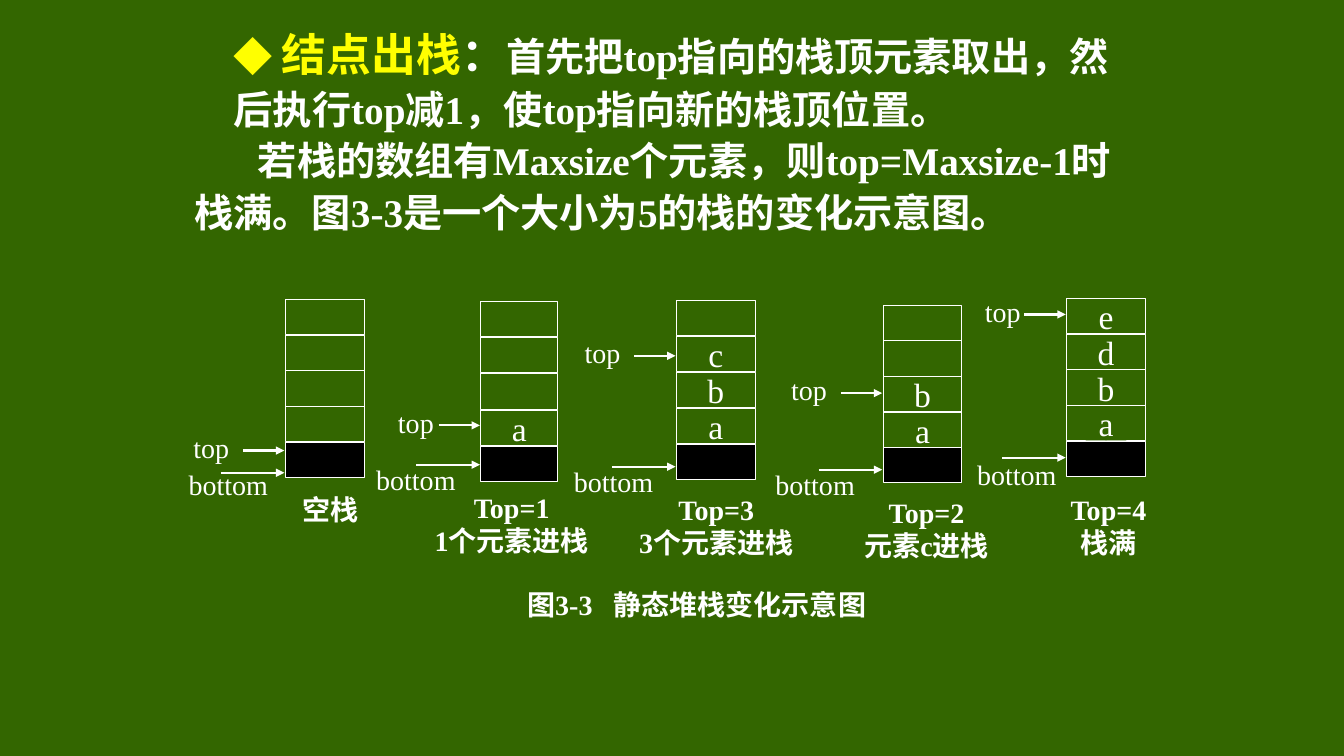
from collections import namedtuple

from lxml import etree
from pptx import Presentation
from pptx.dml.color import RGBColor
from pptx.enum.shapes import MSO_CONNECTOR, MSO_SHAPE
from pptx.enum.text import MSO_ANCHOR, PP_ALIGN
from pptx.oxml.ns import qn
from pptx.util import Pt

PX = 9144  # 100 px to the inch
GREEN = RGBColor(0x33, 0x66, 0x00)
WHITE = RGBColor(0xFF, 0xFF, 0xFF)
YELLOW = RGBColor(0xFF, 0xFF, 0x00)
BLACK = RGBColor(0x00, 0x00, 0x00)
LATIN, CJK = "Times New Roman", "Noto Sans CJK SC"

# Run formats
BODY = dict(size=Pt(28), bold=True, name=LATIN, color=WHITE)
BULLET = dict(BODY, name=CJK, color=YELLOW)
TERM = dict(BODY, size=Pt(32), color=YELLOW)
COLON = dict(TERM, color=WHITE)
LABEL = dict(BODY, size=Pt(20), bold=False)
CAPTION = dict(LABEL, bold=True)
GAP = dict(CAPTION, size=Pt(15))
CELL = dict(LABEL, size=Pt(24))

INTRO = [
    ((39, 0), [
        ("◆ ", BULLET), ("结点出栈", TERM), ("：", COLON),
        ("首先把top指向的栈顶元素取出，然后执行top减1，使top指向新的栈顶位置。", BODY)]),
    ((0, 63), [
        ("若栈的数组有Maxsize个元素，则top=Maxsize-1时栈满。"
         "图3-3是一个大小为5的栈的变化示意图。", BODY)]),
]

# box: x, y, w, h of the five cells; the label places are offsets from its corner
Stack = namedtuple("Stack", "box items top bottom arrow_y caption caption_box")
STACKS = [
    Stack((283, 297, 79, 177), "", (-101, 127), (-100, 164), 172,
          ["空栈"], (5, 189, 79, 39)),
    Stack((477, 299, 76, 179), "a", (-92, 100), (-108, 157), 162,
          ["Top=1", "1个元素进栈"], (-52, 185, 165, 71)),
    Stack((671, 298, 78, 178), "abc", (-101, 32), (-106, 160), 165,
          ["Top=3", "3个元素进栈"], (-43, 188, 165, 71)),
    Stack((876, 303, 78, 176), "ab", (-101, 64), (-111, 158), 163,
          ["Top=2", "元素c进栈"], (-28, 186, 142, 71)),
    Stack((1058, 296, 78, 177), "abde", (-91, -7), (-93, 155), 158,
          ["Top=4", "栈满"], (0, 190, 83, 71)),
]


def emu(*lengths):
    return [round(v * PX) for v in lengths]


def add_run(p, text, fmt):
    r = p.add_run()
    r.text = text
    for key, value in fmt.items():
        if key == "color":
            r.font.color.rgb = value
        else:
            setattr(r.font, key, value)
    ea = etree.SubElement(r.font._element, qn("a:ea"))
    ea.set("typeface", CJK)


def set_lines(tf, lines, fmt):
    """Centred lines in one format, middle anchored."""
    tf.word_wrap = False
    tf.margin_left = tf.margin_right = 0
    tf.vertical_anchor = MSO_ANCHOR.MIDDLE
    for i, line in enumerate(lines):
        p = tf.add_paragraph() if i else tf.paragraphs[0]
        p.alignment = PP_ALIGN.CENTER
        add_run(p, line, fmt)


def add_label(shapes, box, lines, fmt):
    tf = shapes.add_textbox(*emu(*box)).text_frame
    set_lines(tf, lines, fmt)
    return tf


def add_arrow(shapes, x1, x2, y):
    line = shapes.add_connector(MSO_CONNECTOR.STRAIGHT, *emu(x1, y, x2, y))
    line.line.color.rgb = WHITE
    line.line.width = Pt(1.5)
    tail = etree.SubElement(line.line._get_or_add_ln(), qn("a:tailEnd"))
    tail.set("type", "triangle")
    etree.SubElement(line._element.spPr, qn("a:effectLst"))


def add_cell(shapes, box, text, fill):
    sp = shapes.add_shape(MSO_SHAPE.RECTANGLE, *emu(*box))
    sp.shadow.inherit = False
    sp.line.color.rgb = WHITE
    sp.line.width = Pt(0.75)
    if fill is None:
        sp.fill.background()
    else:
        sp.fill.solid()
        sp.fill.fore_color.rgb = fill
    if text:
        set_lines(sp.text_frame, [text], CELL)


def add_intro(shapes, box):
    tf = shapes.add_textbox(*emu(*box)).text_frame
    tf.word_wrap = True
    tf.margin_right, = emu(15)
    for i, ((margin, indent), runs) in enumerate(INTRO):
        p = tf.add_paragraph() if i else tf.paragraphs[0]
        p.line_spacing = 1.1
        left, first = emu(margin, indent)
        pPr = p._p.get_or_add_pPr()
        pPr.set("marL", str(left))
        pPr.set("indent", str(first))
        for text, fmt in runs:
            add_run(p, text, fmt)


def add_stack(shapes, stack):
    x, y, w, h = stack.box
    cell_h = 35
    pitch = (h - cell_h) / 4

    # Cells from the black base upwards
    for level, item in enumerate(["", *stack.items.ljust(4)]):
        box = (x, y + (4 - level) * pitch, w, cell_h)
        add_cell(shapes, box, item.strip(), None if level else BLACK)

    # Pointers
    for name, (dx, dy), width in (("top", stack.top, 55),
                                  ("bottom", stack.bottom, 87)):
        add_label(shapes, (x + dx, y + dy, width, 39), [name], LABEL)
    add_arrow(shapes, x - 42, x - 1, y + stack.top[1] + 23)
    add_arrow(shapes, x - 64, x - 1, y + stack.arrow_y)

    # Caption
    dx, dy, width, height = stack.caption_box
    add_label(shapes, (x + dx, y + dy, width, height), stack.caption, CAPTION)


def add_figure_title(shapes, box):
    p = add_label(shapes, box, ["图3-3"], CAPTION).paragraphs[0]
    add_run(p, "　", GAP)
    add_run(p, "静态堆栈变化示意图", CAPTION)


def main():
    prs = Presentation()
    prs.slide_width, prs.slide_height = emu(1333, 750)
    s = prs.slides.add_slide(prs.slide_layouts[6])
    s.background.fill.solid()
    s.background.fill.fore_color.rgb = GREEN

    add_intro(s.shapes, (183, 16, 964, 233))

    # Diagram of the five stack states
    diagram = s.shapes.add_group_shape().shapes
    add_figure_title(diagram, (493, 580, 396, 39))
    for stack in STACKS:
        add_stack(diagram, stack)

    prs.save("out.pptx")


if __name__ == "__main__":
    main()
